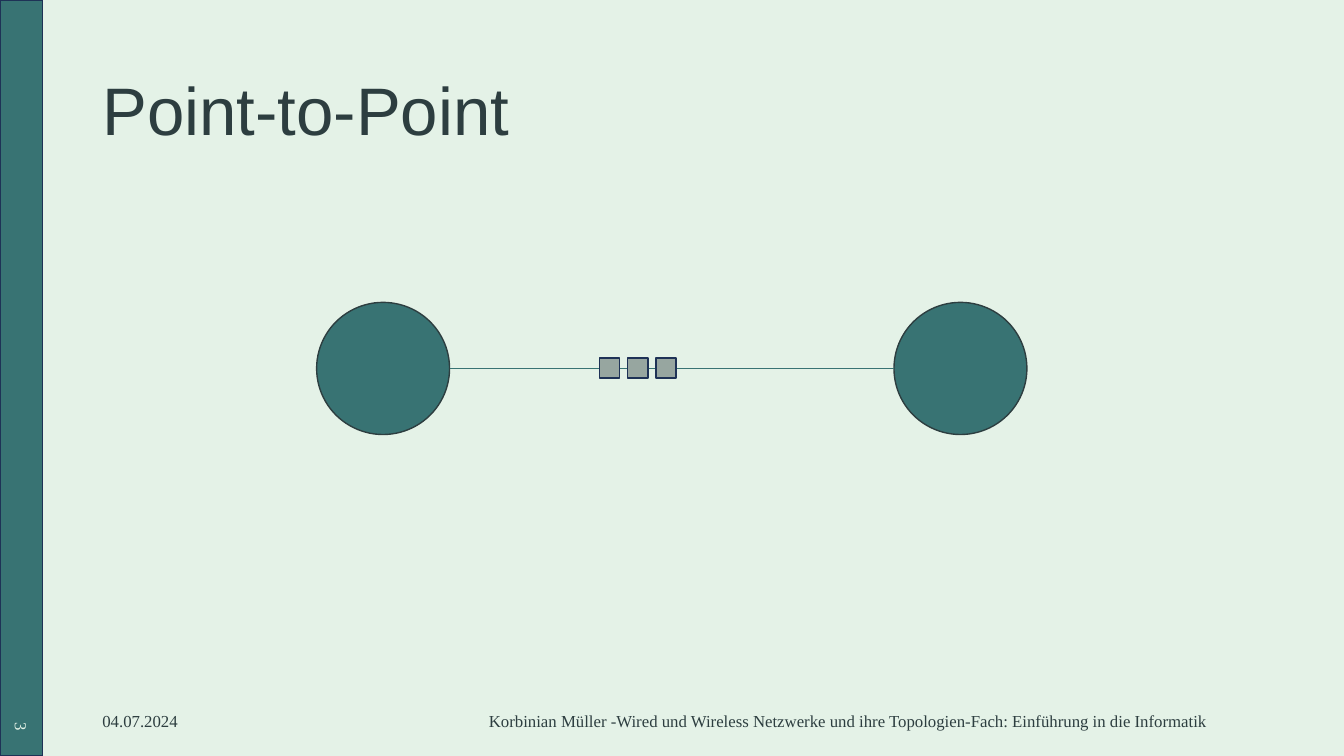
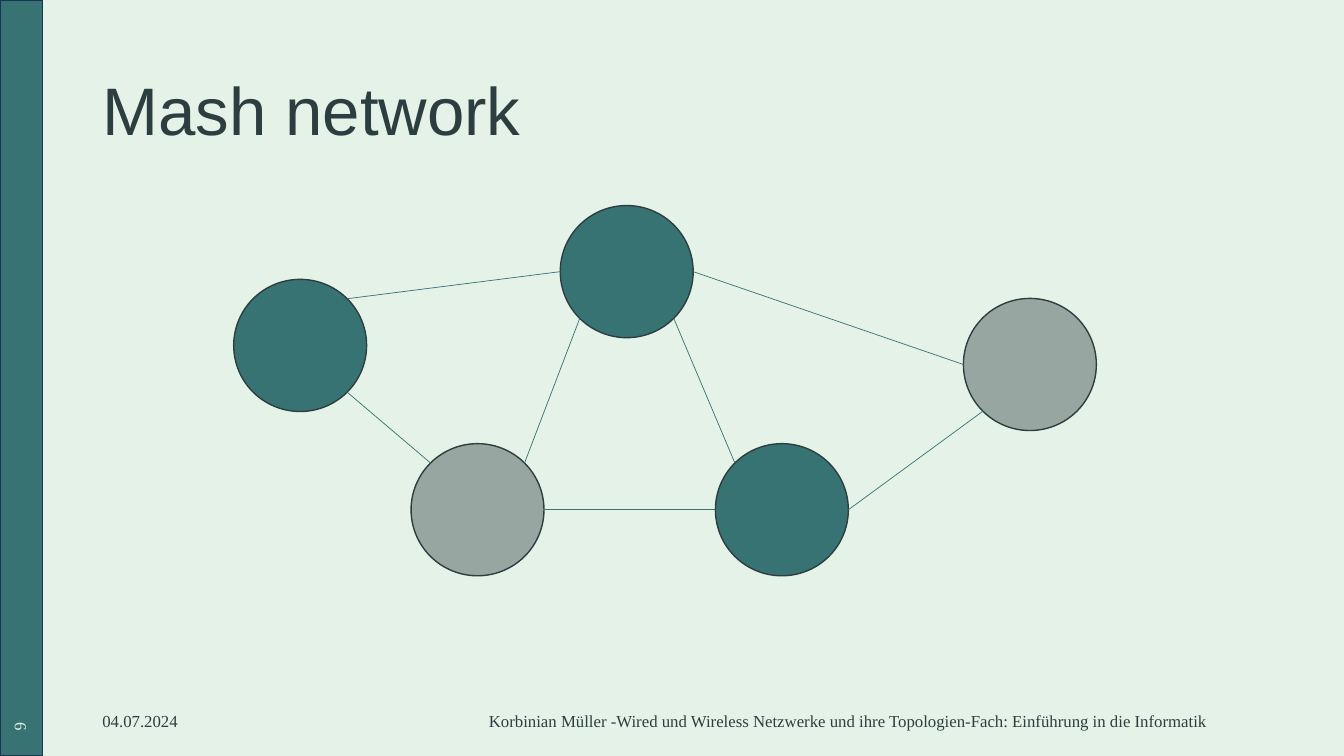
import math

import lxml.etree
import pptx
import pptx.dml.color
import pptx.enum.shapes
import pptx.enum.text
import pptx.oxml.ns
import pptx.util

Cm = pptx.util.Cm
Pt = pptx.util.Pt
RGBColor = pptx.dml.color.RGBColor
SHAPE = pptx.enum.shapes.MSO_SHAPE
ALIGN = pptx.enum.text.PP_ALIGN

MINT = RGBColor(0xE4, 0xF2, 0xE7)
TEAL = RGBColor(0x38, 0x73, 0x73)
GREY = RGBColor(0x97, 0xA6, 0xA0)
SLATE = RGBColor(0x2D, 0x3E, 0x40)
NAVY = RGBColor(0x1E, 0x32, 0x56)

NODE_WIDTH, NODE_HEIGHT = 3.35, 3.33
PACKET_SIZE, PACKET_STEP = 0.51, 0.71
DATE = "04.07.2024"
FOOTER = "Korbinian Müller -Wired und Wireless Netzwerke und ihre Topologien-Fach: Einführung in die Informatik"

TOPOLOGIES = [
    {
        "title": "Point-to-Point",
        "number": "3",
        "nodes": {"left": (7.98, 7.62, TEAL), "right": (22.53, 7.62, TEAL)},
        "links": [("left", 0, "right", 180)],
        "packets": [(15.11 + i * PACKET_STEP, 9.02) for i in range(3)],
    },
    {
        "title": "Mash network",
        "number": "6",
        "nodes": {
            "top": (14.12, 5.18, TEAL),
            "lower left": (10.36, 11.18, GREY),
            "lower right": (18.03, 11.18, TEAL),
            "right": (24.28, 7.52, GREY),
            "left": (5.89, 7.04, TEAL),
        },
        "links": [
            ("lower left", -45, "top", 135),
            ("top", 45, "lower right", -135),
            ("lower right", 180, "lower left", 0),
            ("lower left", -135, "left", 45),
            ("top", 0, "right", 180),
            ("left", -45, "top", 180),
            ("lower right", 0, "right", 135),
        ],
        "packets": [],
    },
]


def add_figure(slide, kind, left, top, width, height, fill, outline):
    figure = slide.shapes.add_shape(kind, Cm(left), Cm(top), Cm(width), Cm(height))
    figure.shadow.inherit = False
    figure.fill.solid()
    figure.fill.fore_color.rgb = fill
    figure.line.color.rgb = outline
    figure.line.width = Pt(1)


def rim_point(node, degrees):
    left, top, _ = node
    angle = math.radians(degrees)
    x = left + NODE_WIDTH / 2 * (1 + math.cos(angle))
    y = top + NODE_HEIGHT / 2 * (1 + math.sin(angle))
    return Cm(x), Cm(y)


presentation = pptx.Presentation()
presentation.slide_width = Cm(33.87)
presentation.slide_height = Cm(19.05)
background = presentation.slide_master.background.fill
background.solid()
background.fore_color.rgb = MINT

for topology in TOPOLOGIES:
    slide = presentation.slides.add_slide(presentation.slide_layouts[5])
    add_figure(slide, SHAPE.RECTANGLE, 0, 0, 1.07, 19.05, TEAL, NAVY)

    title = slide.shapes.title
    title.left, title.top, title.width, title.height = Cm(2.33), Cm(1.02), Cm(29.21), Cm(3.68)
    title.fill.solid()
    title.fill.fore_color.rgb = MINT
    title.text_frame.text = topology["title"]
    title.text_frame.auto_size = pptx.enum.text.MSO_AUTO_SIZE.NONE
    title.text_frame.vertical_anchor = pptx.enum.text.MSO_ANCHOR.MIDDLE
    heading = title.text_frame.paragraphs[0]
    heading.alignment = ALIGN.LEFT
    heading.line_spacing = 0.9
    heading.font.name = "Arial"
    heading.font.size = Pt(48)
    heading.font.color.rgb = SLATE

    for text, left, top, width, rotation, alignment, color in [
        (DATE, 2.33, 17.65, 7.62, 0, ALIGN.LEFT, SLATE),
        (FOOTER, 11.22, 17.65, 20.32, 0, ALIGN.CENTER, SLATE),
        (topology["number"], -0.46, 17.15, 2.01, 90, ALIGN.RIGHT, MINT),
    ]:
        note = slide.shapes.add_textbox(Cm(left), Cm(top), Cm(width), Cm(1.02))
        note.rotation = rotation
        note.text_frame.word_wrap = True
        note.text_frame.vertical_anchor = pptx.enum.text.MSO_ANCHOR.MIDDLE
        note.text_frame.text = text
        paragraph = note.text_frame.paragraphs[0]
        paragraph.alignment = alignment
        paragraph.font.name = "Times New Roman"
        paragraph.font.size = Pt(12)
        paragraph.font.color.rgb = color

    nodes = topology["nodes"]
    for left, top, fill in nodes.values():
        add_figure(slide, SHAPE.OVAL, left, top, NODE_WIDTH, NODE_HEIGHT, fill, SLATE)

    for start, start_angle, end, end_angle in topology["links"]:
        link = slide.shapes.add_connector(
            pptx.enum.shapes.MSO_CONNECTOR.STRAIGHT,
            *rim_point(nodes[start], start_angle),
            *rim_point(nodes[end], end_angle),
        )
        link.line.color.rgb = TEAL
        link.line.width = Pt(0.5)
        lxml.etree.SubElement(link._element.spPr, pptx.oxml.ns.qn("a:effectLst"))

    for left, top in topology["packets"]:
        add_figure(slide, SHAPE.RECTANGLE, left, top, PACKET_SIZE, PACKET_SIZE, GREY, NAVY)

presentation.save("out.pptx")
